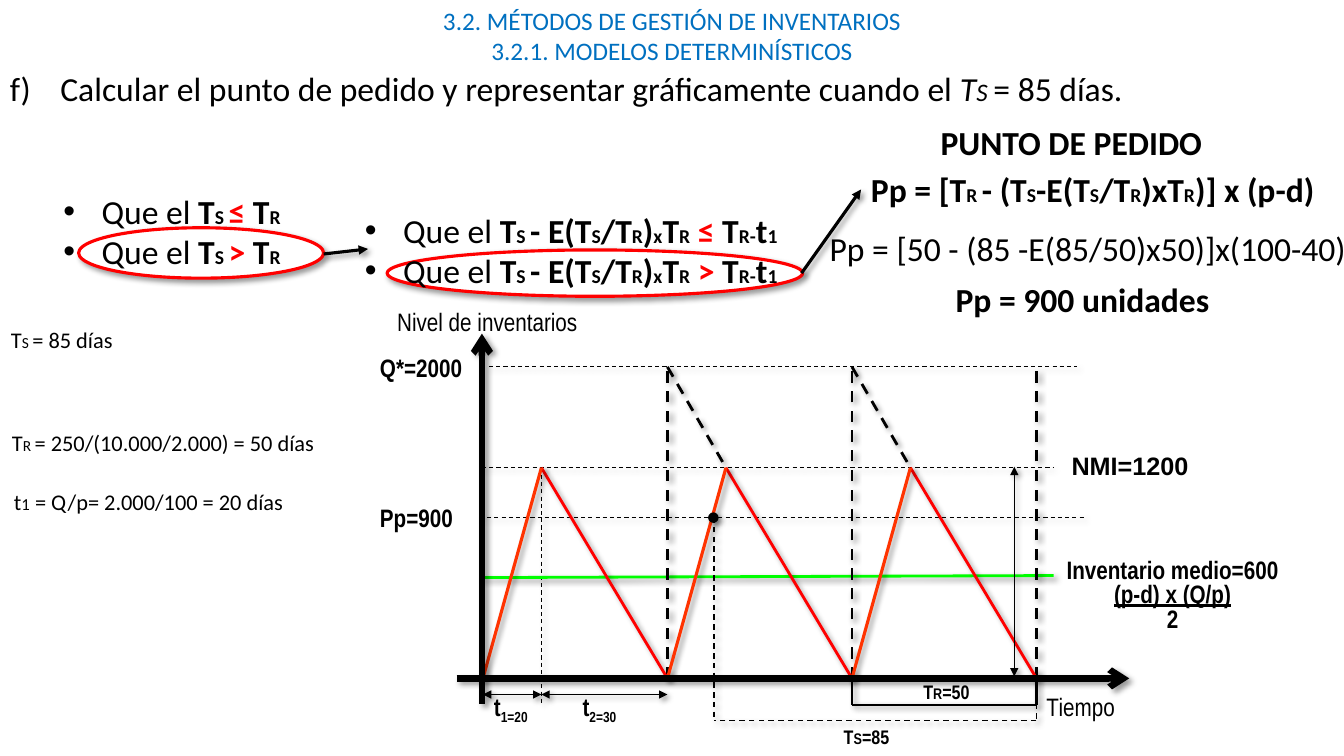
from lxml.etree import SubElement
from pptx import Presentation
from pptx.dml.color import RGBColor
from pptx.enum.dml import MSO_LINE
from pptx.enum.shapes import MSO_CONNECTOR, MSO_SHAPE
from pptx.enum.text import MSO_AUTO_SIZE as AutoSize, PP_ALIGN as Align
from pptx.oxml.ns import qn
from pptx.util import Pt

PX = 9144
COLORS = {"black": "000000", "title": "0070C0", "red": "FF0000", "rise": "FF3300",
          "average": "00FF00", "white": "FFFFFF"}
NARROW = "Arial Narrow"
BOLD = {"bold": True}
RED = {"bold": True, "color": "red"}


def rgb(name):
    """Return the named colour."""
    return RGBColor.from_string(COLORS[name])


def add_shadow(shape):
    """Give a shape or connector a soft diagonal shadow."""
    effects = SubElement(shape._element.spPr, qn("a:effectLst"))
    shadow = SubElement(effects, qn("a:outerShdw"), blurRad="50800", dist="38100",
                        dir="2700000", algn="tl", rotWithShape="0")
    color = SubElement(shadow, qn("a:srgbClr"), val=COLORS["black"])
    SubElement(color, qn("a:alpha"), val="40000")


def add_bullet(paragraph, margin, indent, tag, **attributes):
    """Give a paragraph a hanging bullet or number."""
    properties = paragraph._p.get_or_add_pPr()
    properties.set("marL", str(margin * PX))
    properties.set("indent", str(-indent * PX))
    SubElement(properties, qn("a:buFont"), typeface="Arial" if tag == "a:buChar" else "+mj-lt")
    SubElement(properties, qn(tag), **attributes)


def write(paragraph, pieces, size, small=14, font="Calibri", color="black", subscript=False):
    """Write (markup, style) pieces, where | switches between full and small size."""
    for markup, style in pieces:
        for index, part in enumerate(markup.split("|")):
            if not part:
                continue
            run = paragraph.add_run()
            run.text = part
            run.font.name = font
            run.font.size = Pt(small if index % 2 else size)
            run.font.bold = style.get("bold", False)
            run.font.italic = style.get("italic", False)
            run.font.underline = style.get("underline", False)
            run.font.color.rgb = rgb(style.get("color", color))
            if subscript and index % 2:
                run._r.get_or_add_rPr().set("baseline", "-25000")


def add_text(slide, box, lines, size, align=Align.LEFT, wrap=True, bullet=None,
             spacing=None, **style):
    """Place a text box with one paragraph for each list of pieces."""
    shape = slide.shapes.add_textbox(*(value * PX for value in box))
    frame = shape.text_frame
    frame.word_wrap = wrap
    frame.auto_size = AutoSize.SHAPE_TO_FIT_TEXT
    for index, pieces in enumerate(lines):
        paragraph = frame.add_paragraph() if index else frame.paragraphs[0]
        paragraph.alignment = align
        if spacing:
            paragraph.line_spacing = spacing
        if bullet:
            add_bullet(paragraph, *bullet[:3], **bullet[3])
        write(paragraph, pieces, size, **style)


def add_line(slide, origin, points, width, color="black", dashed=False, head=None, tail=None):
    """Draw a shadowed straight line with optional dashes and arrowheads."""
    left, top = origin
    x1, y1, x2, y2 = points
    connector = slide.shapes.add_connector(
        MSO_CONNECTOR.STRAIGHT, (left + x1) * PX, (top + y1) * PX, (left + x2) * PX, (top + y2) * PX)
    line = connector.line
    line.width = Pt(width)
    line.color.rgb = rgb(color)
    if dashed:
        line.dash_style = MSO_LINE.DASH
    for tag, kind in (("a:headEnd", head), ("a:tailEnd", tail)):
        if kind:
            SubElement(line._get_or_add_ln(), qn(tag), type=kind)
    add_shadow(connector)


def add_round(slide, kind, box, fill, color, width):
    """Draw a shadowed round shape."""
    shape = slide.shapes.add_shape(kind, *(value * PX for value in box))
    shape.fill.solid()
    shape.fill.fore_color.rgb = rgb(fill)
    shape.line.color.rgb = rgb(color)
    shape.line.width = Pt(width)
    add_shadow(shape)


def build_heading(slide, left, top, width):
    """Place the two titles and the lettered question."""
    titles = ("3.2. MÉTODOS DE GESTIÓN DE INVENTARIOS", "3.2.1. MODELOS DETERMINÍSTICOS")
    for index, title in enumerate(titles):
        add_text(slide, (left, top + 30 * index, width, 40), [[(title, {})]], 18,
                 Align.CENTER, color="title")
    question = [("Calcular el punto de pedido y representar gráficamente cuando el ", {}),
                ("T|S ", {"italic": True}), ("= 85 días.", {})]
    number = (50, 50, "a:buAutoNum", {"type": "alphaLcParenR", "startAt": "6"})
    add_text(slide, (left, top + 62, width, 50), [question], 24, Align.JUSTIFY,
             bullet=number, small=18)


def build_conditions(slide, left, top):
    """Place the two pairs of conditions with the chosen ones circled."""
    for x, y, width, height in ((75, 42, 243, 50), (381, 64, 412, 46)):
        add_round(slide, MSO_SHAPE.OVAL, (left + x, top + y, width, height), "white", "red", 2.25)
    bullet = (88, 38, "a:buChar", {"char": "•"})
    pairs = (((0, 0, 363, 91), "T|S ", " T|R"),
             ((299, 19, 482, 91), "T|S |- E(T|S|/T|R|)|x|T|R| ", " T|R-|t|1"))
    for (x, y, width, height), before, after in pairs:
        lines = [[("Que el ", {}), (before, BOLD), (sign, RED), (after, BOLD)] for sign in "≤>"]
        add_text(slide, (left + x, top + y, width, height), lines, 24, Align.JUSTIFY, bullet=bullet)
    for points in ((318, 68, 362, 63), (792, 87, 851, 4)):
        add_line(slide, (left, top), points, 2.25, tail="triangle")


def build_order_point(slide, left, top):
    """Place the order point formula and its result."""
    formula = "Pp = [T|R |- (T|S|-E(T|S|/T|R|)xT|R|)] x (p-d)"
    rows = ((110, 0, 302, "PUNTO DE PEDIDO", BOLD), (41, 47, 464, formula, BOLD),
            (0, 105, 536, "Pp = [50 - (85 -E(85/50)x50)]x(100-40)", {}),
            (125, 156, 274, "Pp = 900 unidades", BOLD))
    for x, y, width, text, style in rows:
        add_text(slide, (left + x, top + y, width, 50), [[(text, style)]], 24, wrap=False)


def build_data(slide, left, top):
    """Place the three computed times."""
    rows = ((0, 0, 202, "T|S |= 85 días", 11),
            (1, 102, 324, "T|R |= 250/(10.000/2.000) = 50 días", 11),
            (3, 160, 298, "t|1| = Q/p= 2.000/100 = 20 días", 12))
    for x, y, width, text, small in rows:
        add_text(slide, (left + x, top + y, width, 37), [[(text, {})]], 16, small=small)


def build_graph(slide, left, top, cycle, base):
    """Draw three stock cycles with their levels, axes and labels."""
    origin = (left, top)
    peak, maximum, order = 58, 100, 149
    order_x = cycle + 46
    third, end = 2 * cycle, 3 * cycle
    for points in ((6, 0, 589, 0), (-1, maximum, 566, maximum), (-3, order, 596, order),
                   (peak, maximum, peak, 334)):
        add_line(slide, origin, points, 0.75, dashed=True)
    add_line(slide, origin, (-2, 209, 566, 207), 2, "average")
    for index in range(3):
        start = index * cycle
        finish = start + cycle
        if index:
            add_line(slide, origin, (start, 0, start + peak, maximum), 2, dashed=True)
        add_line(slide, origin, (finish, base, finish, 0), 2, dashed=True)
        add_line(slide, origin, (start + peak, maximum, finish, base), 2, "red")
        add_line(slide, origin, (start + peak, maximum, start, base), 2.25, "rise")
    for points in ((0, 325, peak, 325), (peak, 325, cycle, 325), (527, base - 2, 527, maximum - 1)):
        add_line(slide, origin, points, 0.75, head="triangle", tail="triangle")
    add_line(slide, origin, (-1, -33, -1, 334), 4.5, head="arrow")
    add_line(slide, origin, (-26, base, 641, base), 4.5, tail="arrow")
    for points in ((third, base, third, 335), (third, 335, end, 335), (end, base, end, 335)):
        add_line(slide, origin, points, 1.5)
    for points in ((order_x, order, order_x, 351), (end, 351, order_x, 351), (end, 305, end, 351)):
        add_line(slide, origin, points, 1, dashed=True)
    add_round(slide, MSO_SHAPE.FLOWCHART_CONNECTOR,
              (left + order_x - 5, top + order - 4, 9, 9), "black", "black", 1)
    labels = ((-95, -65, 201, "Nivel de inventarios", {}, NARROW),
              (-112, -19, 114, "Q*=2000", BOLD, NARROW),
              (-112, 129, 112, "Pp=900", BOLD, NARROW),
              (574, 78, 143, "NMI=1200", BOLD, "Arial"),
              (549, 317, 117, "Tiempo", {}, NARROW),
              (1, 317, 65, "t|1=20", BOLD, NARROW),
              (89, 317, 80, "t|2=30", BOLD, NARROW))
    for x, y, width, text, style, font in labels:
        add_text(slide, (left + x, top + y, width, 40), [[(text, style)]], 18,
                 font=font, small=18, subscript=True)
    for x, y, text in ((348, 350, "T|S|=85"), (427, 306, "T|R|=50")):
        add_text(slide, (left + x, top + y, 77, 34), [[(text, BOLD)]], 14, font=NARROW, small=11)
    average = [[("Inventario medio=600", BOLD)],
               [("(p-d) x (Q/p)", {"bold": True, "underline": True})], [("2", BOLD)]]
    add_text(slide, (left + 539, top + 187, 290, 83), average, 18, Align.CENTER,
             spacing=0.8, font=NARROW)


def main():
    """Build and save the slide."""
    presentation = Presentation()
    presentation.slide_width = 1333 * PX
    presentation.slide_height = 750 * PX
    slide = presentation.slides.add_slide(presentation.slide_layouts[6])
    build_heading(slide, 0, 0, 1333)
    build_conditions(slide, 3, 184)
    build_order_point(slide, 813, 116)
    build_data(slide, 1, 319)
    build_graph(slide, 479, 364, 183, 309)
    presentation.save("out.pptx")


if __name__ == "__main__":
    main()
